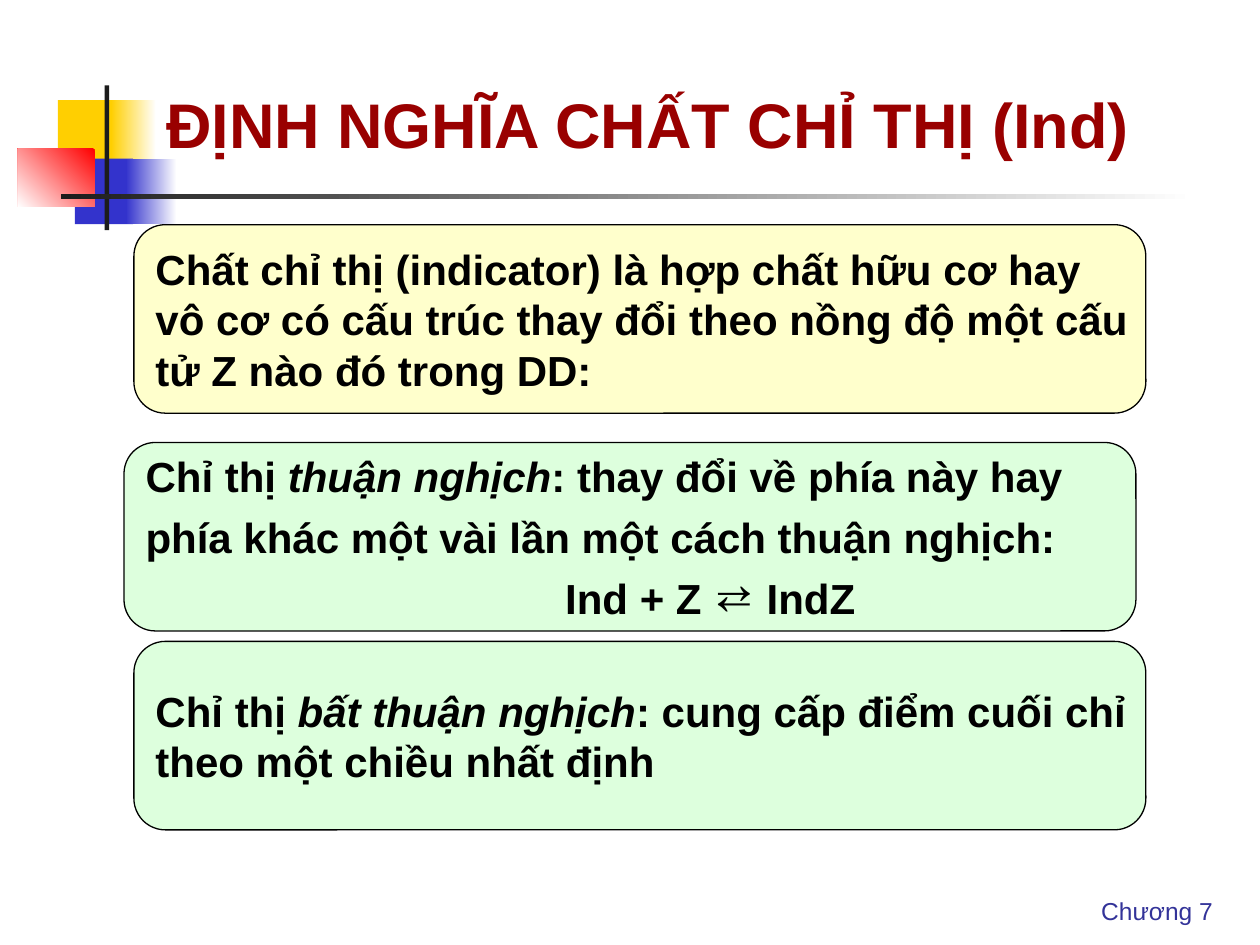
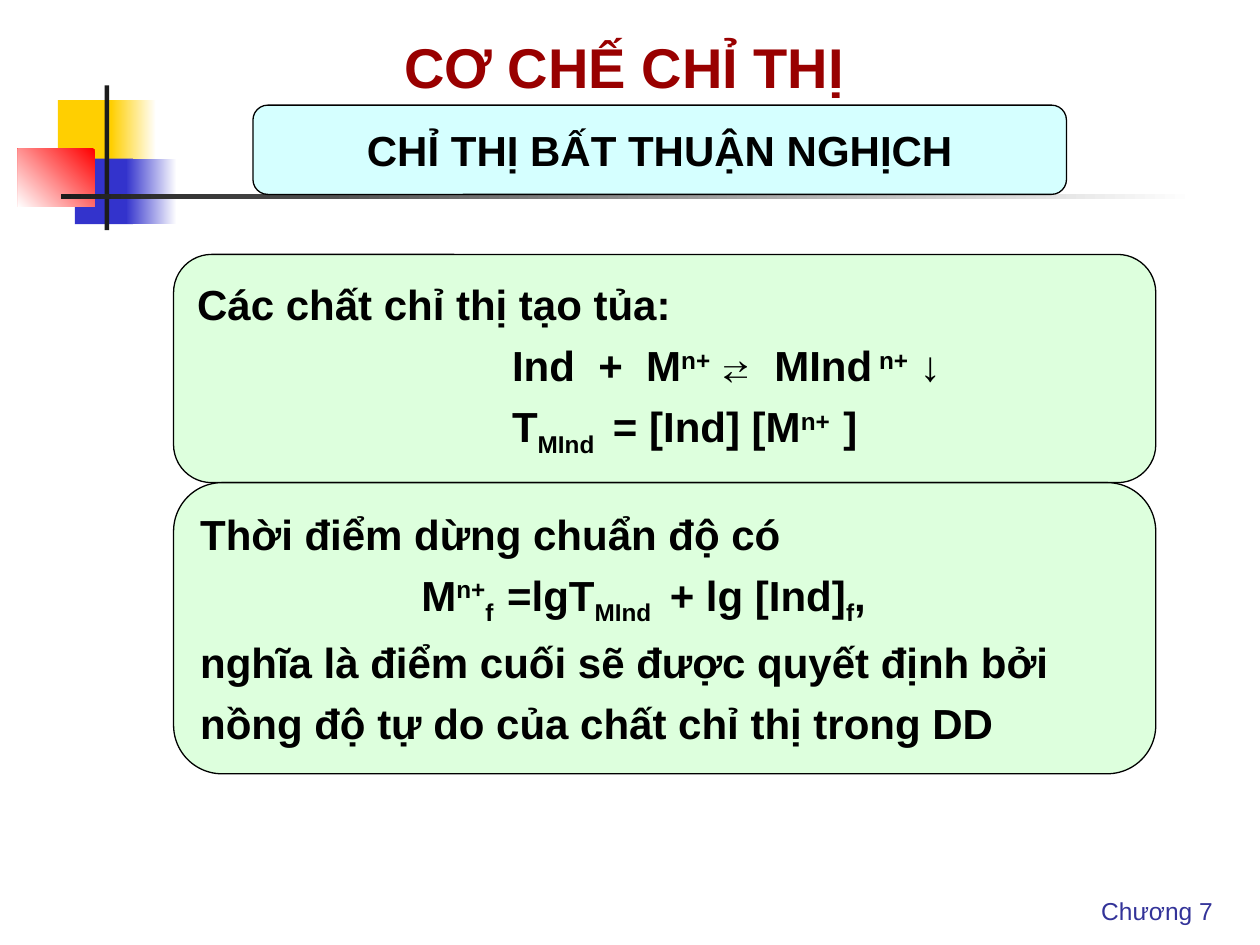
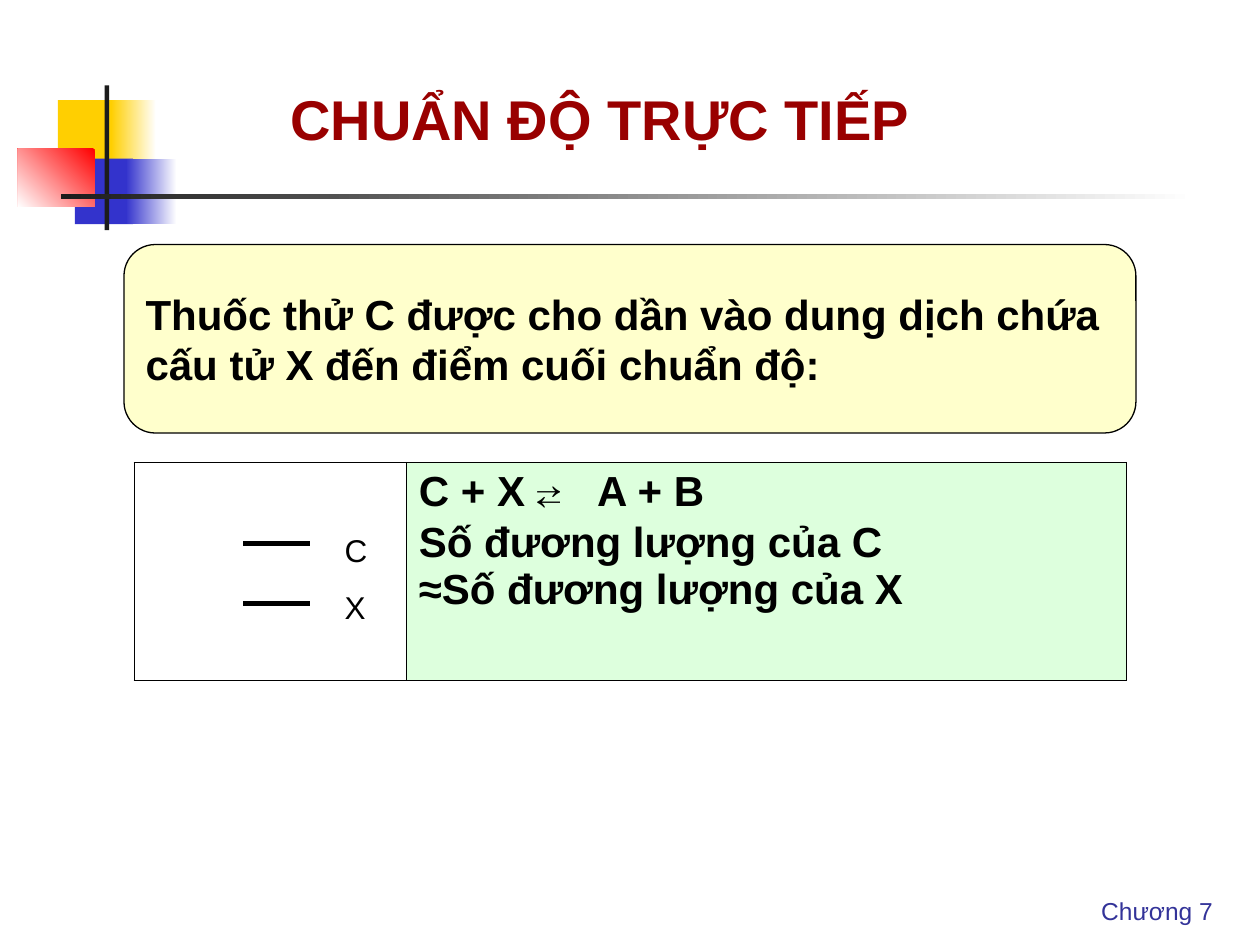
from lxml import etree
from pptx import Presentation
from pptx.dml.color import RGBColor
from pptx.enum import shapes as s, text as t
from pptx.oxml import ns
from pptx.util import Cm, Pt

WHITE = RGBColor(0xFF, 0xFF, 0xFF)
BLACK = RGBColor(0x00, 0x00, 0x00)
GOLD = RGBColor(0xFF, 0xCF, 0x01)
BLUE = RGBColor(0x33, 0x33, 0xCC)
RED = RGBColor(0xFF, 0x00, 0x00)
DARK = RGBColor(0x1C, 0x1C, 0x1C)
NAVY = RGBColor(0x33, 0x33, 0x99)
WINE = RGBColor(0x99, 0x00, 0x00)
CREAM = RGBColor(0xFF, 0xFF, 0xCC)
MINT = RGBColor(0xDD, 0xFF, 0xDD)
AQUA = RGBColor(0xD5, 0xFF, 0xFF)

DECOR = [
    (1.17, 2.02, 1.22, 1.32, [GOLD], 0),
    (2.24, 2.02, 0.91, 1.32, [WHITE, GOLD], 180),
    (1.51, 3.2, 1.17, 1.32, [BLUE], 0),
    (2.54, 3.2, 1.02, 1.32, [WHITE, BLUE], 180),
    (0.36, 3, 1.55, 1.17, [RED, WHITE], 225),
    (2.11, 1.72, 0.09, 2.92, [DARK], 0),
    (1.23, 3.91, 22.86, 0.1, [WHITE, DARK], 180),
]
TITLES = [
    ("ĐỊNH NGHĨA CHẤT CHỈ THỊ (Ind)", (3.1, 0.92, 20.7, 2.46), 36, 0),
    ("CƠ CHẾ CHỈ THỊ", (7.9, 0.51, 9.7, 1.63), 32, 0),
    ("CHUẨN ĐỘ TRỰC TIẾP", (3.1, 1.71, 20.7, 1.47), 32, 2.5),
]
SHIFT = {"up": "30000", "down": "-25000"}

MARKS = [chr(code) for code in (0x301, 0x300, 0x309, 0x303, 0x323)]
VOWELS = ["aáàảãạ", "ăắằẳẵặ", "âấầẩẫậ", "eéèẻẽẹ", "êếềểễệ", "iíìỉĩị",
          "oóòỏõọ", "ôốồổỗộ", "ơớờởỡợ", "uúùủũụ", "ưứừửữự", "yýỳỷỹỵ"]
TONES = {}
for row in VOWELS + [row.upper() for row in VOWELS]:
    for letter, mark in zip(row[1:], MARKS):
        TONES[ord(letter)] = row[0] + mark


def write(frame, lines, size=24, color=BLACK, bold=True, gap=0, align=t.PP_ALIGN.LEFT):
    frame.word_wrap = True
    for i, (dent, *runs) in enumerate(lines):
        para = frame.paragraphs[0] if i == 0 else frame.add_paragraph()
        para.alignment = align
        para.space_before = Pt(gap)
        para.font.name = "Arial"
        para.font.size = Pt(size)
        para.font.bold = bold
        para.font.color.rgb = color
        if dent:
            para._p.get_or_add_pPr().set("marL", str(Cm(dent)))
        for item in runs:
            words, style = (item, "") if isinstance(item, str) else item
            run = para.add_run()
            run.text = words.translate(TONES)
            if style == "slant":
                run.font.italic = True
            elif style == "mono":
                run.font.name = "Courier New"
            elif style:
                run._r.get_or_add_rPr().set("baseline", SHIFT[style])


def panel(slide, place, fill, lines, gap=0, align=t.PP_ALIGN.LEFT):
    box = slide.shapes.add_shape(s.MSO_SHAPE.ROUNDED_RECTANGLE, *map(Cm, place))
    box.shadow.inherit = False
    box.fill.solid()
    box.fill.fore_color.rgb = fill
    box.line.color.rgb = BLACK
    box.line.width = Pt(0.75)
    box.text_frame.margin_right = 0 if align == t.PP_ALIGN.LEFT else Cm(0.25)
    box.text_frame.vertical_anchor = t.MSO_ANCHOR.MIDDLE
    write(box.text_frame, lines, gap=gap, align=align)


deck = Presentation()
deck.slide_width, deck.slide_height = Cm(25.4), Cm(19.05)
slides = []
for title, place, size, dent in TITLES:
    slide = deck.slides.add_slide(deck.slide_layouts[6])
    slides.append(slide)
    for *spot, tints, angle in DECOR:
        block = slide.shapes.add_shape(s.MSO_SHAPE.RECTANGLE, *map(Cm, spot))
        block.shadow.inherit = False
        block.line.fill.background()
        if len(tints) == 1:
            block.fill.solid()
            block.fill.fore_color.rgb = tints[0]
        else:
            block.fill.gradient()
            block.fill.gradient_angle = angle
            for stop, tint in zip(block.fill.gradient_stops, tints):
                stop.color.rgb = tint
    foot = slide.shapes.add_textbox(Cm(21.95), Cm(17.93), Cm(2.95), Cm(0.86))
    write(foot.text_frame, [(0, "Chương 7")], 14, NAVY, False, 8.8)
    head = slide.shapes.add_textbox(*map(Cm, place))
    head.text_frame.vertical_anchor = t.MSO_ANCHOR.BOTTOM
    write(head.text_frame, [(dent, title)], size, WINE)

first, second, third = slides

panel(first, (2.7, 4.53, 20.4, 3.8), CREAM, [
    (0, "Chất chỉ thị (indicator) là hợp chất hữu cơ hay"),
    (0, "vô cơ có cấu trúc thay đổi theo nồng độ một cấu"),
    (0, "tử Z nào đó trong DD:"),
])
panel(first, (2.5, 8.92, 20.4, 3.8), MINT, [
    (0, "Chỉ thị ", ("thuận nghịch", "slant"), ": thay đổi về phía này hay"),
    (0, "phía khác một vài lần một cách thuận nghịch:"),
    (8.46, "Ind + Z ⇄ IndZ"),
], 6)
panel(first, (2.7, 12.93, 20.4, 3.8), MINT, [
    (0, "Chỉ thị", (" bất thuận nghịch", "slant"), ": cung cấp điểm cuối chỉ"),
    (0, "theo một chiều nhất định"),
])

panel(second, (5.1, 2.12, 16.4, 1.8), AQUA,
      [(0, "CHỈ THỊ BẤT THUẬN NGHỊCH")], 3, t.PP_ALIGN.CENTER)
panel(second, (3.5, 5.13, 19.8, 4.6), MINT, [
    (0, "Các chất chỉ thị tạo tủa:"),
    (6.35, "Ind  +  M", ("n+  ", "up"), ("⇄ ", "mono"), "MInd", (" n+", "up"), " ↓"),
    (6.35, "T", ("MInd ", "down"), " = [Ind] [M", ("n+  ", "up"), "]"),
], 6)
panel(second, (3.5, 9.73, 19.8, 5.87), MINT, [
    (0, "Thời điểm dừng chuẩn độ có"),
    (4.46, "M", ("n+", "up"), ("f  ", "down"), "=lgT", ("MInd ", "down"),
     " + lg [Ind]", ("f", "down"), ","),
    (0, "nghĩa là điểm cuối sẽ được quyết định bởi"),
    (0, "nồng độ tự do của chất chỉ thị trong DD"),
], 6)

grid = third.shapes.add_table(1, 2, Cm(2.7), Cm(9.32), Cm(20), Cm(4.4)).table
grid.first_row = grid.horz_banding = False
grid.columns[0].width, grid.columns[1].width = Cm(5.49), Cm(14.51)
for cell in grid.iter_cells():
    props = cell._tc.get_or_add_tcPr()
    for side in ("lnL", "lnR", "lnT", "lnB"):
        edge = etree.SubElement(props, ns.qn("a:" + side), w=str(Pt(0.45)))
        paint = etree.SubElement(edge, ns.qn("a:solidFill"))
        etree.SubElement(paint, ns.qn("a:srgbClr"), val=str(BLACK))
blank, sums = grid.cell(0, 0), grid.cell(0, 1)
blank.fill.background()
sums.fill.solid()
sums.fill.fore_color.rgb = MINT
write(sums.text_frame, [
    (0, "C + X ", ("⇄ ", "mono"), " A + B"),
    (0, "Số đương lượng của C"),
    (0, "≈Số đương lượng của X"),
])

for name, top, high in (("C", 10.58, 10.96), ("X", 11.73, 12.17)):
    label = third.shapes.add_textbox(Cm(6.7), Cm(top), Cm(0.9), Cm(1.02))
    write(label.text_frame, [(0, name)], 18, bold=False)
    dash = third.shapes.add_connector(
        s.MSO_CONNECTOR.STRAIGHT, Cm(4.9), Cm(high), Cm(6.25), Cm(high))
    dash.line.color.rgb = BLACK
    dash.line.width = Pt(3)
    etree.SubElement(dash._element.spPr, ns.qn("a:effectLst"))

panel(third, (2.5, 4.93, 20.4, 3.8), CREAM, [
    (0, "Thuốc thử C được cho dần vào dung dịch chứa"),
    (0, "cấu tử X đến điểm cuối chuẩn độ:"),
])

deck.save("out.pptx")
